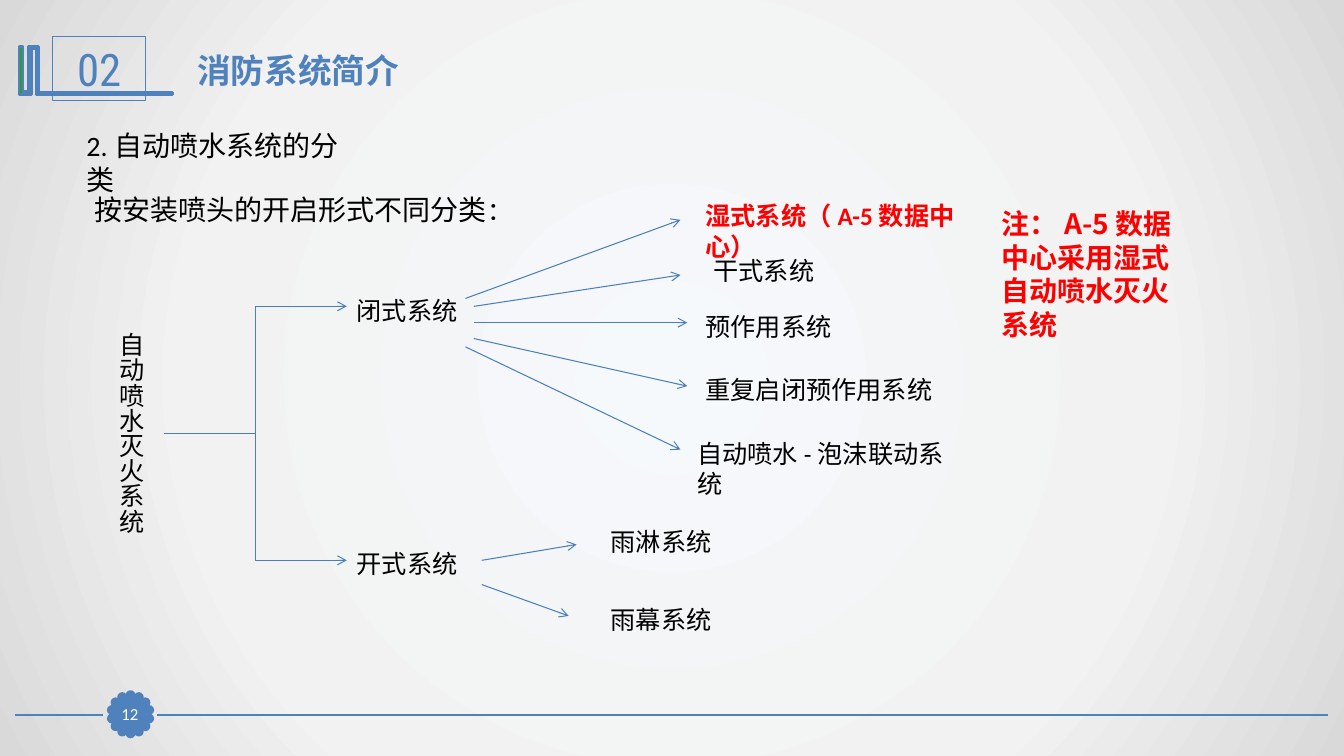
import math
from dataclasses import dataclass

import pptx
import pptx.dml.color
import pptx.enum.shapes
import pptx.enum.text
import pptx.oxml
import pptx.oxml.ns
import pptx.util
from lxml import etree
from pptx.dml.color import RGBColor
from pptx.enum.shapes import MSO_CONNECTOR, MSO_SHAPE
from pptx.enum.text import MSO_ANCHOR, MSO_AUTO_SIZE, PP_ALIGN
from pptx.oxml.ns import qn
from pptx.util import Cm, Pt

BLUE = RGBColor(0x4F, 0x81, 0xBD)
ARROW_BLUE = RGBColor(0x4B, 0x7E, 0xBC)
GREEN = RGBColor(0x33, 0x99, 0x33)
RED = RGBColor(0xFF, 0x00, 0x00)
BLACK = RGBColor(0x00, 0x00, 0x00)
WHITE = RGBColor(0xFF, 0xFF, 0xFF)
BACKDROP_STOPS = ((0, "F6F9FC"), (63, "F2F2F2"), (100, "D9D9D9"))
BODY_FONT = "Calibri"


@dataclass(frozen=True)
class Label:
    """A text box; lengths in centimetres."""
    text: str
    left: float
    top: float
    width: float = 3.08
    height: float = 1.02
    size: float = 18
    color: RGBColor = BLACK
    bold: bool = False
    font: str = BODY_FONT
    vertical: bool = False
    ending: str = ""


@dataclass(frozen=True)
class Link:
    """A line between two points; lengths in centimetres."""
    x1: float
    y1: float
    x2: float
    y2: float
    color: RGBColor = ARROW_BLUE
    weight: float = 0.75
    kind: MSO_CONNECTOR = MSO_CONNECTOR.STRAIGHT
    arrow: bool = True


FOOTER_LINES = [
    Link(33.48, 18.01, 3.96, 18.01, BLUE, 1.25, arrow=False),
    Link(2.59, 18.01, 0.38, 18.01, BLUE, 1.25, arrow=False),
]
TREE_LINKS = [
    *(Link(4.14, 10.92, 8.74, y, kind=MSO_CONNECTOR.ELBOW) for y in (14.12, 7.72)),
    Link(11.73, 7.52, 17.15, 5.54),
    Link(11.94, 7.72, 17.15, 6.93),
    Link(11.94, 8.13, 17.32, 8.13),
    Link(11.73, 8.74, 17.15, 11.33),
    Link(11.94, 8.53, 17.32, 9.73),
    Link(12.14, 14.12, 14.53, 13.72),
    Link(12.14, 14.73, 14.33, 15.52),
]
LABELS = [
    Label("2.自动喷水系统的分类", 1.93, 3.12, 7.47, 1.12, 20),
    Label("按安装喷头的开启形式不同分类", 2.13, 4.72, 11.13, 1.12, 20, ending="："),
    Label("自动喷水灭火系统", 2.54, 8.13, 1.27, 6.2, vertical=True),
    Label("闭式系统", 8.74, 7.32),
    Label("开式系统", 8.74, 13.69),
    Label("湿式系统（A-5数据中心）", 17.53, 4.93, 7.87, color=RED, bold=True),
    Label("干式系统", 17.73, 6.32),
    Label("预作用系统", 17.53, 7.72, 3.71),
    Label("重复启闭预作用系统", 17.53, 9.32, 6.28),
    Label("自动喷水-泡沫联动系统", 17.32, 10.92, 7.11),
    Label("雨淋系统", 15.14, 13.13),
    Label("雨幕系统", 15.14, 15.11),
    Label("注：A-5数据中心采用湿式自动喷水灭火系统", 24.99, 5.08, 4.9, 3.68, 20,
          RED, True, "Noto Sans CJK SC"),
]
BOOK_OUTLINE = [
    (0.94, 1.17), (0.97, 1.17), (0.97, 2.34), (4.34, 2.34), (4.34, 2.39),
    (0.91, 2.39), (0.91, 1.22), (0.79, 1.22), (0.79, 2.39), (0.48, 2.39),
    (0.48, 1.17), (0.58, 1.17), (0.58, 2.31), (0.71, 2.31), (0.71, 1.17),
]


def paint_background(slide: pptx.slide.Slide) -> None:
    slide.background.fill.gradient()
    gradient = slide.element.find(".//" + qn("a:gradFill"))
    for child in list(gradient):
        gradient.remove(child)
    stops = etree.SubElement(gradient, qn("a:gsLst"))
    for percent, color in BACKDROP_STOPS:
        stop = etree.SubElement(stops, qn("a:gs"), pos=str(percent * 1000))
        etree.SubElement(stop, qn("a:srgbClr"), val=color)
    circle = etree.SubElement(gradient, qn("a:path"), {"path": "circle"})
    etree.SubElement(circle, qn("a:fillToRect"), dict.fromkeys("ltrb", "50000"))


def style_text(frame: pptx.text.text.TextFrame, size: float, color: RGBColor,
               font: str = BODY_FONT, bold: bool = False) -> None:
    for para in frame.paragraphs:
        for span in para.runs:
            span.font.name = font
            span.font.size = Pt(size)
            span.font.bold = bold
            span.font.color.rgb = color


def add_link(slide: pptx.slide.Slide, link: Link) -> None:
    line = slide.shapes.add_connector(
        link.kind, Cm(link.x1), Cm(link.y1), Cm(link.x2), Cm(link.y2))
    line.line.color.rgb = link.color
    line.line.width = Pt(link.weight)
    properties = line.element.spPr
    if link.arrow:
        etree.SubElement(properties.find(qn("a:ln")), qn("a:tailEnd"), type="arrow")
    etree.SubElement(properties, qn("a:effectLst"))


def add_label(slide: pptx.slide.Slide, label: Label) -> None:
    box = slide.shapes.add_textbox(
        Cm(label.left), Cm(label.top), Cm(label.width), Cm(label.height))
    frame = box.text_frame
    frame.word_wrap = True
    frame.text = label.text
    style_text(frame, label.size, label.color, label.font, label.bold)
    if label.ending:
        span = frame.paragraphs[0].add_run()
        span.text = label.ending
        span.font.name = label.font
        span.font.size = Pt(18)
        span.font.color.rgb = label.color
    if label.vertical:
        box.element.find(".//" + qn("a:bodyPr")).set("vert", "eaVert")


def outline(shape: pptx.shapes.autoshape.Shape, weight: float,
            fill: RGBColor | None = BLUE) -> None:
    """Give the shape a blue line, a flat fill or none, and no shadow."""
    shape.shadow.inherit = False
    shape.line.color.rgb = BLUE
    shape.line.width = Pt(weight)
    if fill is None:
        shape.fill.background()
    else:
        shape.fill.solid()
        shape.fill.fore_color.rgb = fill


def add_number(slide: pptx.slide.Slide, text: str, left: float, top: float,
               width: float, height: float) -> pptx.shapes.autoshape.Shape:
    """Add a rectangle with a centred number."""
    box = slide.shapes.add_shape(
        MSO_SHAPE.RECTANGLE, Cm(left), Cm(top), Cm(width), Cm(height))
    frame = box.text_frame
    frame.text = text
    frame.vertical_anchor = MSO_ANCHOR.MIDDLE
    frame.paragraphs[0].alignment = PP_ALIGN.CENTER
    return box


def add_page_badge(slide: pptx.slide.Slide) -> None:
    center_x, center_y, radius, petal_size, petals = 3.29, 18.0, 0.48, 0.18, 14
    group = slide.shapes.add_group_shape()
    for index in range(petals):
        angle = math.tau * index / petals
        left = center_x + radius * math.sin(angle) - petal_size / 2
        top = center_y - radius * math.cos(angle) - petal_size / 2
        petal = group.shapes.add_shape(
            MSO_SHAPE.OVAL, Cm(left), Cm(top), Cm(petal_size), Cm(petal_size))
        outline(petal, 2)
    box = add_number(slide, "12", 2.87, 17.6, 0.81, 0.79)
    outline(box, 0.75)
    frame = box.text_frame
    frame.margin_left = frame.margin_right = frame.margin_top = frame.margin_bottom = 0
    style_text(frame, 12, WHITE)


def add_header(slide: pptx.slide.Slide) -> None:
    points = [(Cm(x), Cm(y)) for x, y in BOOK_OUTLINE]
    builder = slide.shapes.build_freeform(*points[0])
    builder.add_line_segments(points[1:], close=True)
    outline(builder.convert_to_shape(), 2, GREEN)

    section = add_number(slide, "02", 1.32, 0.91, 2.36, 1.63)
    outline(section, 0.75, None)
    style_text(section.text_frame, 32, BLUE, "Roboto Condensed")

    title = slide.shapes.title
    title.left, title.top, title.width, title.height = Cm(4.72), Cm(1.12), Cm(24.61), Cm(1.27)
    frame = title.text_frame
    frame.text = "消防系统简介"
    frame.auto_size = MSO_AUTO_SIZE.NONE
    frame.vertical_anchor = MSO_ANCHOR.TOP
    frame.paragraphs[0].alignment = PP_ALIGN.LEFT
    style_text(frame, 24, BLUE, bold=True)


def main() -> None:
    deck = pptx.Presentation()
    deck.slide_width, deck.slide_height = Cm(33.87), Cm(19.05)
    slide = deck.slides.add_slide(deck.slide_layouts[5])
    paint_background(slide)
    for link in FOOTER_LINES + TREE_LINKS:
        add_link(slide, link)
    add_page_badge(slide)
    add_header(slide)
    for label in LABELS:
        add_label(slide, label)
    deck.save("out.pptx")


if __name__ == "__main__":
    main()
